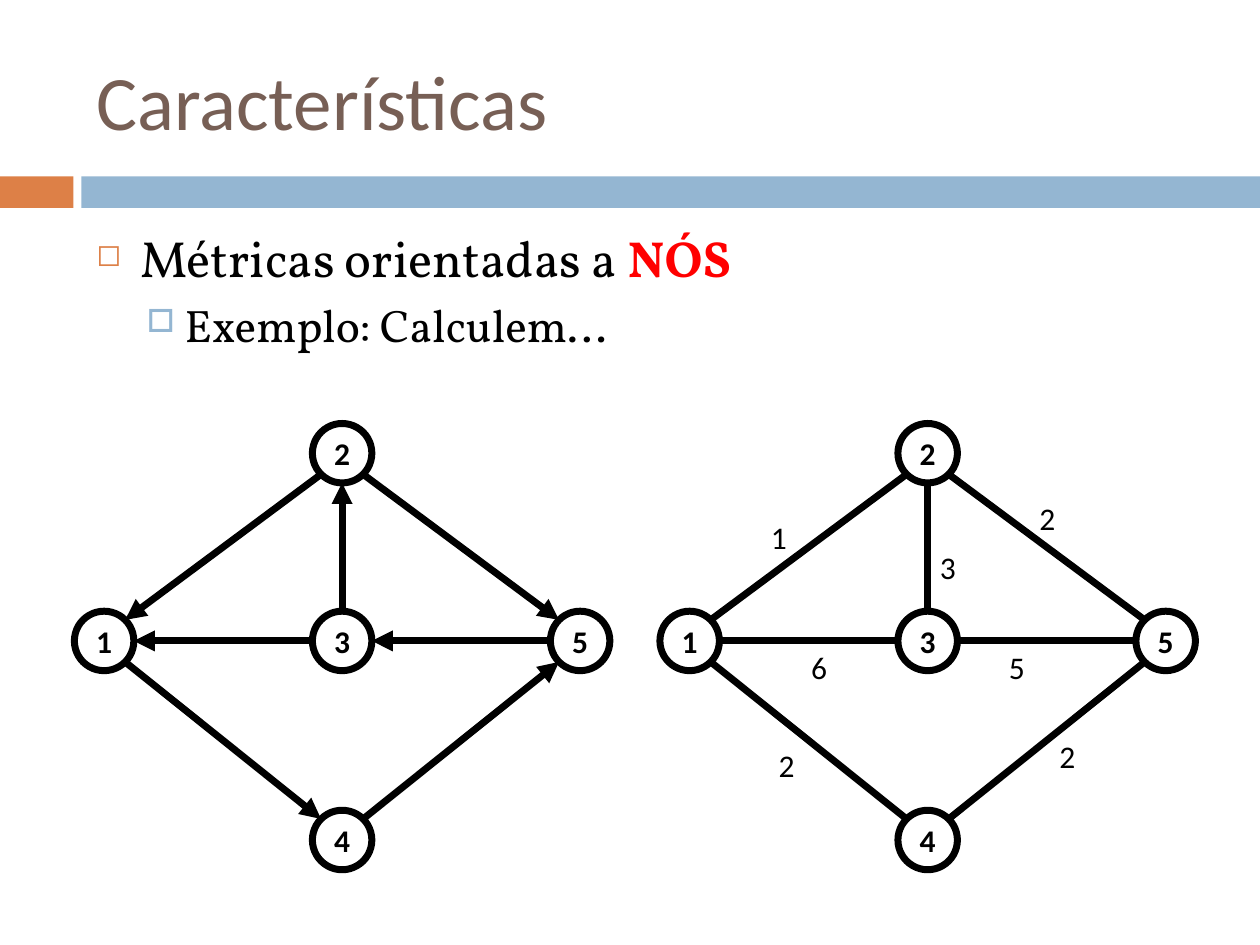
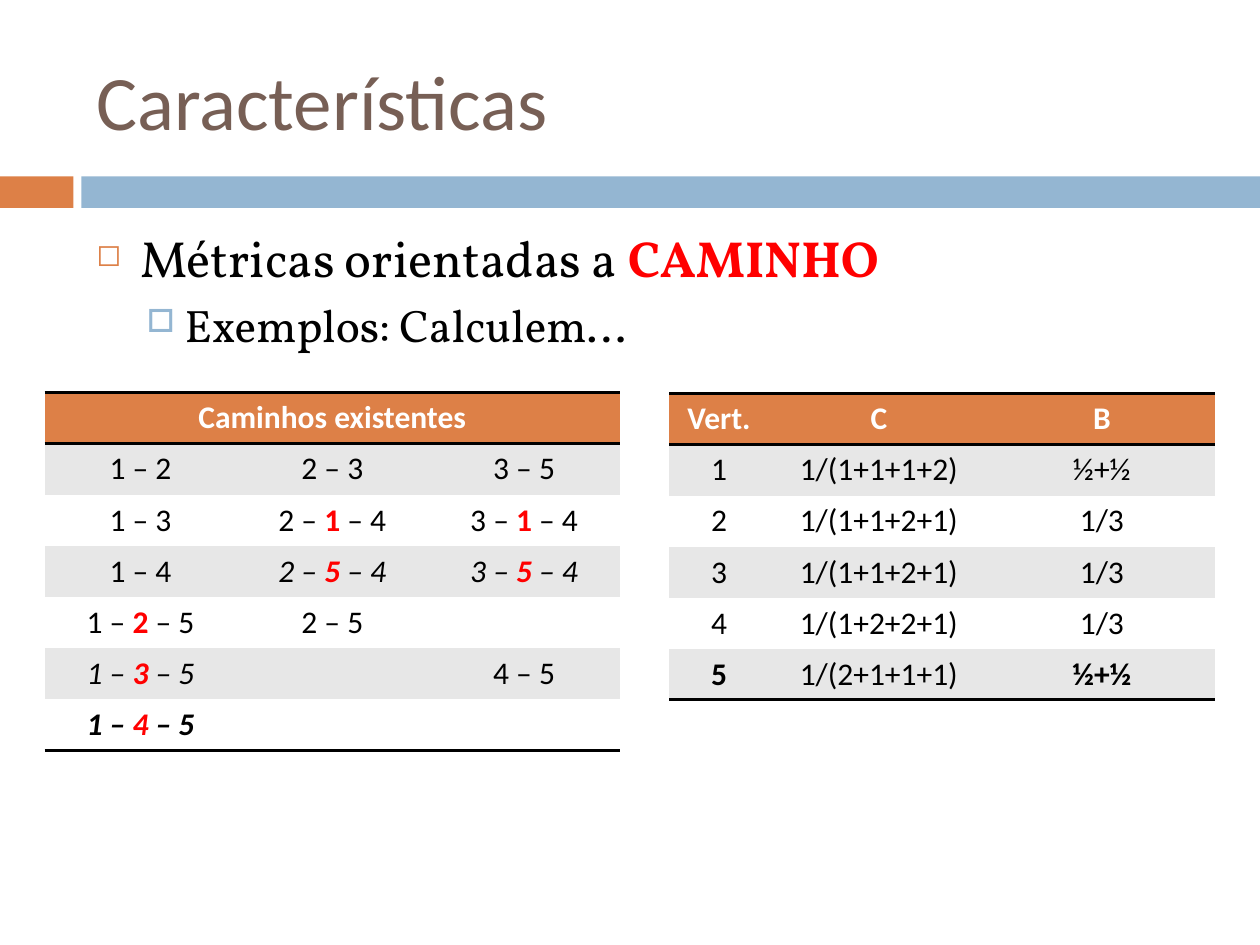
from dataclasses import dataclass
from math import copysign, hypot

from lxml.etree import SubElement
from pptx import Presentation
from pptx.dml.color import RGBColor
from pptx.enum.shapes import MSO_CONNECTOR as Connector, MSO_SHAPE as Shape
from pptx.enum.text import MSO_ANCHOR as Anchor, PP_ALIGN as Align
from pptx.oxml import parse_xml
from pptx.oxml.ns import nsdecls, qn
from pptx.util import Pt


@dataclass(frozen=True)
class Theme:
    orange: str = "DD8047"
    blue: str = "94B6D2"
    brown: str = "775F55"
    black: str = "000000"
    white: str = "FFFFFF"
    gray: str = "E7E7E7"
    red: str = "FF0000"
    sans: str = "Calibri"
    serif: str = "Vollkorn"
    title_size: float = 44
    topic_size: float = 29
    example_size: float = 26
    small_size: float = 18
    edge_width: float = 4
    rule_width: float = 2


THEME = Theme()
PLAIN_TABLE_STYLE = "{2D5ABB26-0587-4C30-8999-92F81FD0307C}"

NODE_RADIUS = 17
NODES = {2: (195.5, 259), 5: (331.5, 366.25), 1: (59.5, 366.25),
         4: (195.5, 480), 3: (195.5, 366.25)}
EDGES = [(1, 4), (2, 1), (3, 1), (3, 2), (2, 5), (4, 5), (5, 3)]
WEIGHTED_GRAPH_LEFT = 334.6
WEIGHTS = [("1", 433.4, 292.3), ("6", 456.5, 366.5), ("2", 586.8, 281.5),
           ("3", 530, 309.6), ("5", 569.5, 366.5), ("2", 437.8, 422.6),
           ("2", 598.3, 417.6)]

ROW_HEIGHT = 29.2
ROUTES = [
    ["Caminhos existentes", "", ""],
    ["1 – 2", "2 – 3", "3 – 5"],
    ["1 – 3", "2 – *1* – 4", "3 – *1* – 4"],
    ["1 – 4", "2 – *5* – 4", "3 – *5* – 4"],
    ["1 – *2* – 5", "2 – 5", ""],
    ["1 – *3* – 5", "", "4 – 5"],
    ["1 – *4* – 5", "", ""],
]
ALTERNATIVE_ROUTES = {(3, 1), (3, 2), (5, 0), (6, 0)}
CENTRALITY = [
    ["Vert.", "C", "B"],
    ["1", "1/(1+1+1+2)", "½+½"],
    ["2", "1/(1+1+2+1)", "1/3"],
    ["3", "1/(1+1+2+1)", "1/3"],
    ["4", "1/(1+2+2+1)", "1/3"],
    ["5", "1/(2+1+1+1)", "½+½"],
]


def rgb(color):
    return RGBColor.from_string(color)


def write(paragraph, text, font=THEME.sans, size=THEME.small_size,
          color=THEME.black, bold=False, italic=False, align=None):
    """Fill a paragraph; parts between asterisks become bold red."""
    paragraph.alignment = align
    for index, part in enumerate(text.split("*")):
        if not part:
            continue
        marked = index % 2 == 1
        run = paragraph.add_run()
        run.text = part
        run.font.name = font
        run.font.size = Pt(size)
        run.font.bold = bold or marked
        run.font.italic = italic
        run.font.color.rgb = rgb(THEME.red if marked else color)


def add_text_box(slide, left, top, width, height, wrap=True, anchor=Anchor.TOP):
    frame = slide.shapes.add_textbox(Pt(left), Pt(top), Pt(width), Pt(height)).text_frame
    frame.word_wrap = wrap
    frame.vertical_anchor = anchor
    return frame


def add_filled_shape(slide, kind, left, top, width, height, color):
    shape = slide.shapes.add_shape(kind, Pt(left), Pt(top), Pt(width), Pt(height))
    shape.shadow.inherit = False
    shape.fill.solid()
    shape.fill.fore_color.rgb = rgb(color)
    shape.line.fill.background()
    return shape


def set_bullet(paragraph, char, color, percent, left, hanging, before):
    paragraph.space_before = Pt(before)
    properties = paragraph._p.get_or_add_pPr()
    properties.set("marL", str(Pt(left)))
    properties.set("indent", str(-Pt(hanging)))
    bullet_color = SubElement(properties, qn("a:buClr"))
    SubElement(bullet_color, qn("a:srgbClr"), val=color)
    SubElement(properties, qn("a:buSzPct"), val=str(percent * 1000))
    SubElement(properties, qn("a:buChar"), char=char)


def add_content_slide(deck, topic, example):
    """Add a slide with the shared title, bands and two bullet levels."""
    slide = deck.slides.add_slide(deck.slide_layouts[6])
    add_filled_shape(slide, Shape.RECTANGLE, 0, 100.8, 42, 18, THEME.orange)
    add_filled_shape(slide, Shape.RECTANGLE, 46.5, 100.8, 673.5, 18, THEME.blue)
    title = add_text_box(slide, 48, 18, 642, 78, anchor=Anchor.MIDDLE)
    write(title.paragraphs[0], "Características",
          size=THEME.title_size, color=THEME.brown)
    body = add_text_box(slide, 48, 126, 642, 376.5)
    topic_line = body.paragraphs[0]
    set_bullet(topic_line, "◻", THEME.orange, 60, 25.2, 25.2, 0)
    write(topic_line, topic, font=THEME.serif, size=THEME.topic_size)
    example_line = body.add_paragraph()
    example_line.level = 1
    set_bullet(example_line, "□", THEME.blue, 70, 50.4, 21.6, 5.5)
    write(example_line, example, font=THEME.serif, size=THEME.example_size)
    return slide


def add_node(slide, number, x, y):
    node = add_filled_shape(slide, Shape.OVAL, x - NODE_RADIUS, y - NODE_RADIUS,
                            2 * NODE_RADIUS, 2 * NODE_RADIUS, THEME.white)
    node.line.color.rgb = rgb(THEME.black)
    node.line.width = Pt(THEME.edge_width)
    frame = node.text_frame
    frame.margin_left = frame.margin_right = 0
    frame.margin_top = frame.margin_bottom = 0
    frame.word_wrap = False
    frame.vertical_anchor = Anchor.MIDDLE
    write(frame.paragraphs[0], str(number), bold=True, align=Align.CENTER)


def add_edge(slide, start, end, left, directed):
    """Join two nodes at the nearest of the eight sites on their rims."""
    (x1, y1), (x2, y2) = NODES[start], NODES[end]
    dx, dy = (copysign(1, d) if d else 0 for d in (x2 - x1, y2 - y1))
    reach = NODE_RADIUS / hypot(dx, dy)
    edge = slide.shapes.add_connector(
        Connector.STRAIGHT,
        Pt(left + x1 + dx * reach), Pt(y1 + dy * reach),
        Pt(left + x2 - dx * reach), Pt(y2 - dy * reach))
    edge.line.color.rgb = rgb(THEME.black)
    edge.line.width = Pt(THEME.edge_width)
    if directed:
        SubElement(edge.line._get_or_add_ln(), qn("a:tailEnd"), type="triangle")
    SubElement(edge._element.spPr, qn("a:effectLst"))


def add_graph(slide, left=0, directed=False):
    for number, (x, y) in NODES.items():
        add_node(slide, number, left + x, y)
    for start, end in EDGES:
        add_edge(slide, start, end, left, directed)


def add_weight(slide, weight, left, top):
    label = add_text_box(slide, left, top, 24.5, 29, wrap=False)
    write(label.paragraphs[0], weight)


def add_rules(cell, sides):
    """Draw the given sides of a cell ("T", "B") as black rules."""
    properties = cell._tc.get_or_add_tcPr()
    for index, side in enumerate(sides):
        properties.insert(index, parse_xml(
            f'<a:ln{side} {nsdecls("a")} w="{Pt(THEME.rule_width)}"><a:solidFill>'
            f'<a:srgbClr val="{THEME.black}"/></a:solidFill></a:ln{side}>'))


def add_striped_table(slide, left, top, widths, rows, bold=(), italic=()):
    """Add a table; bold and italic hold (row, column) pairs."""
    table = slide.shapes.add_table(
        len(rows), len(widths), Pt(left), Pt(top),
        Pt(sum(widths)), Pt(ROW_HEIGHT * len(rows))).table
    table._tbl.tblPr.find(qn("a:tableStyleId")).text = PLAIN_TABLE_STYLE
    for column, width in zip(table.columns, widths):
        column.width = Pt(width)
    for r, texts in enumerate(rows):
        table.rows[r].height = Pt(ROW_HEIGHT)
        header = r == 0
        stripe = THEME.gray if r % 2 else THEME.white
        for c, text in enumerate(texts):
            cell = table.cell(r, c)
            cell.vertical_anchor = Anchor.MIDDLE
            cell.fill.solid()
            cell.fill.fore_color.rgb = rgb(THEME.orange if header else stripe)
            write(cell.text_frame.paragraphs[0], text, align=Align.CENTER,
                  color=THEME.white if header else THEME.black,
                  bold=header or (r, c) in bold, italic=(r, c) in italic)
            if header:
                add_rules(cell, "TB")
            elif r == len(rows) - 1:
                add_rules(cell, "B")
    return table


def main():
    deck = Presentation()
    deck.slide_width, deck.slide_height = Pt(720), Pt(540)

    nodes_slide = add_content_slide(
        deck, "Métricas orientadas a *NÓS*", "Exemplo: Calculem...")
    add_graph(nodes_slide, directed=True)
    add_graph(nodes_slide, left=WEIGHTED_GRAPH_LEFT)
    for weight, left, top in WEIGHTS:
        add_weight(nodes_slide, weight, left, top)

    paths_slide = add_content_slide(
        deck, "Métricas orientadas a *CAMINHO*", "Exemplos: Calculem...")
    routes = add_striped_table(paths_slide, 25.5, 224.3, [109.6] * 3, ROUTES,
                               bold={(6, 0)}, italic=ALTERNATIVE_ROUTES)
    routes.cell(0, 0).merge(routes.cell(0, 2))
    add_striped_table(paths_slide, 382.5, 224.8, [56.7, 126, 128.9], CENTRALITY,
                      bold={(5, 0), (5, 2)})

    deck.save("out.pptx")


if __name__ == "__main__":
    main()
